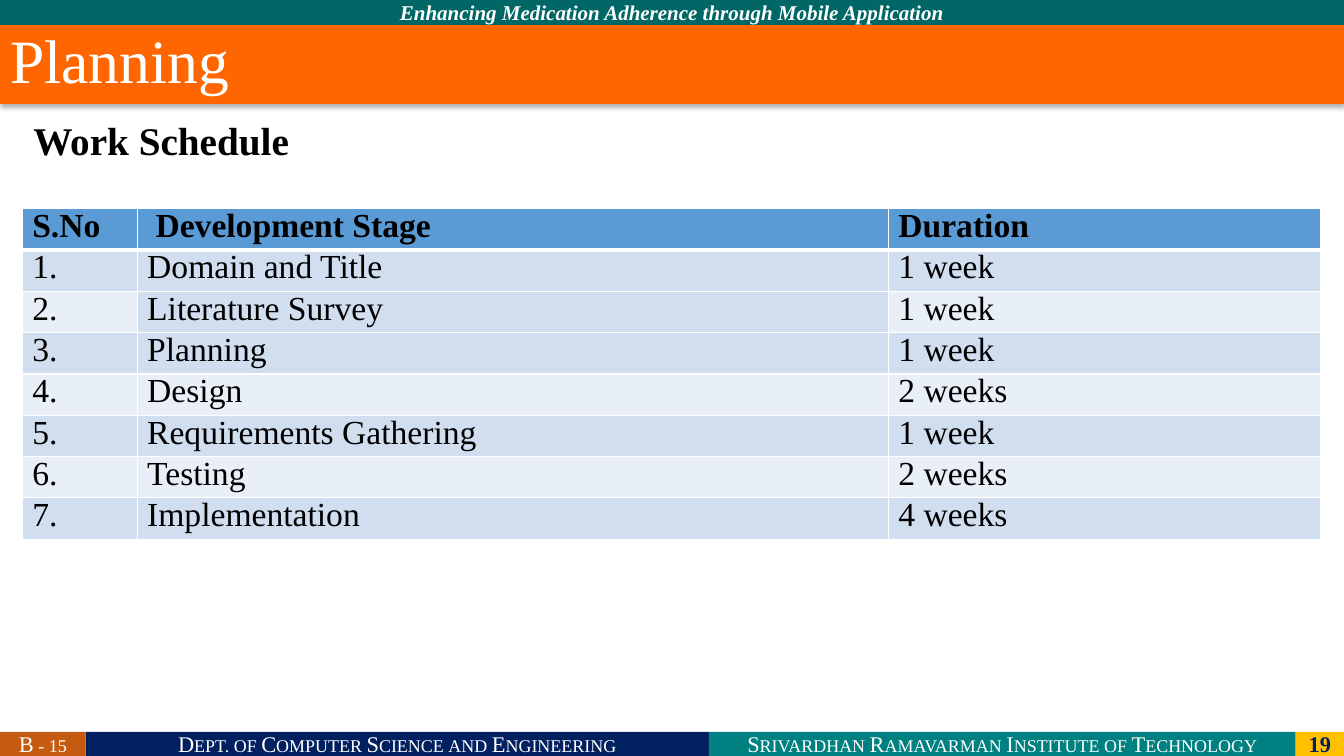
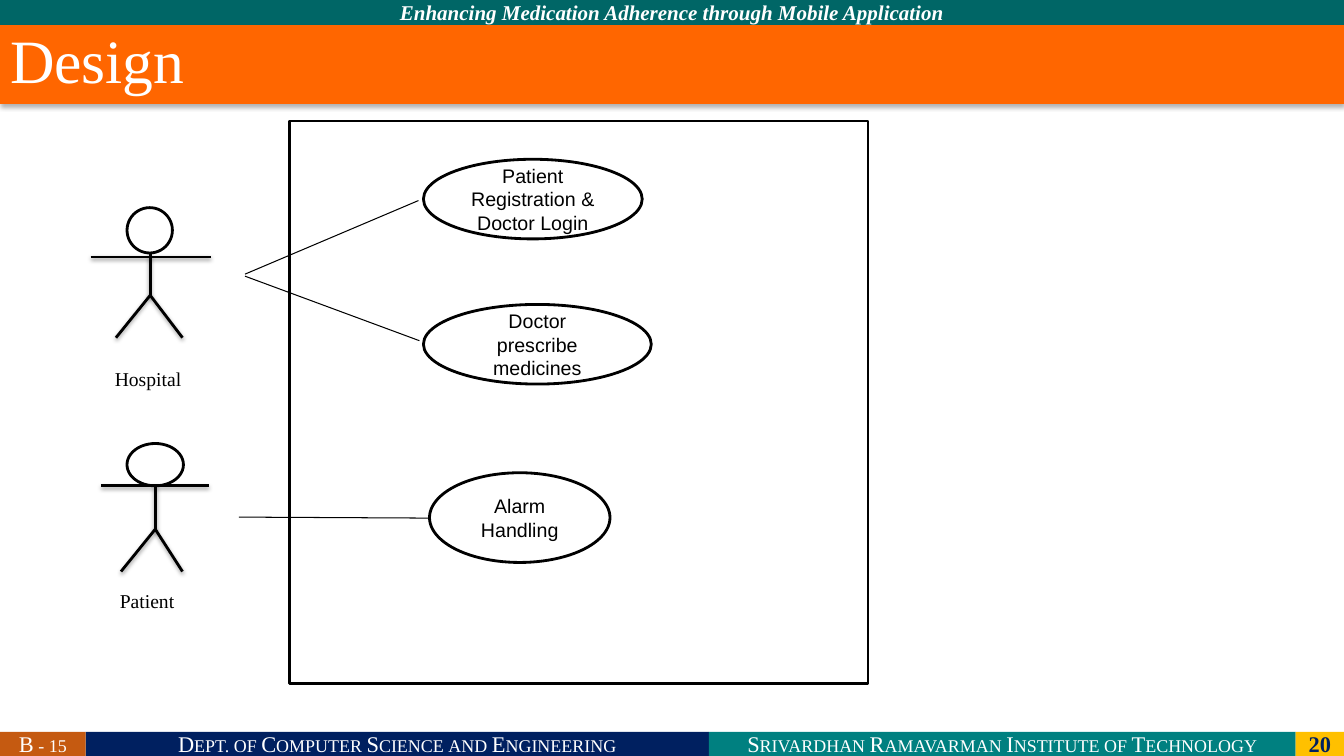
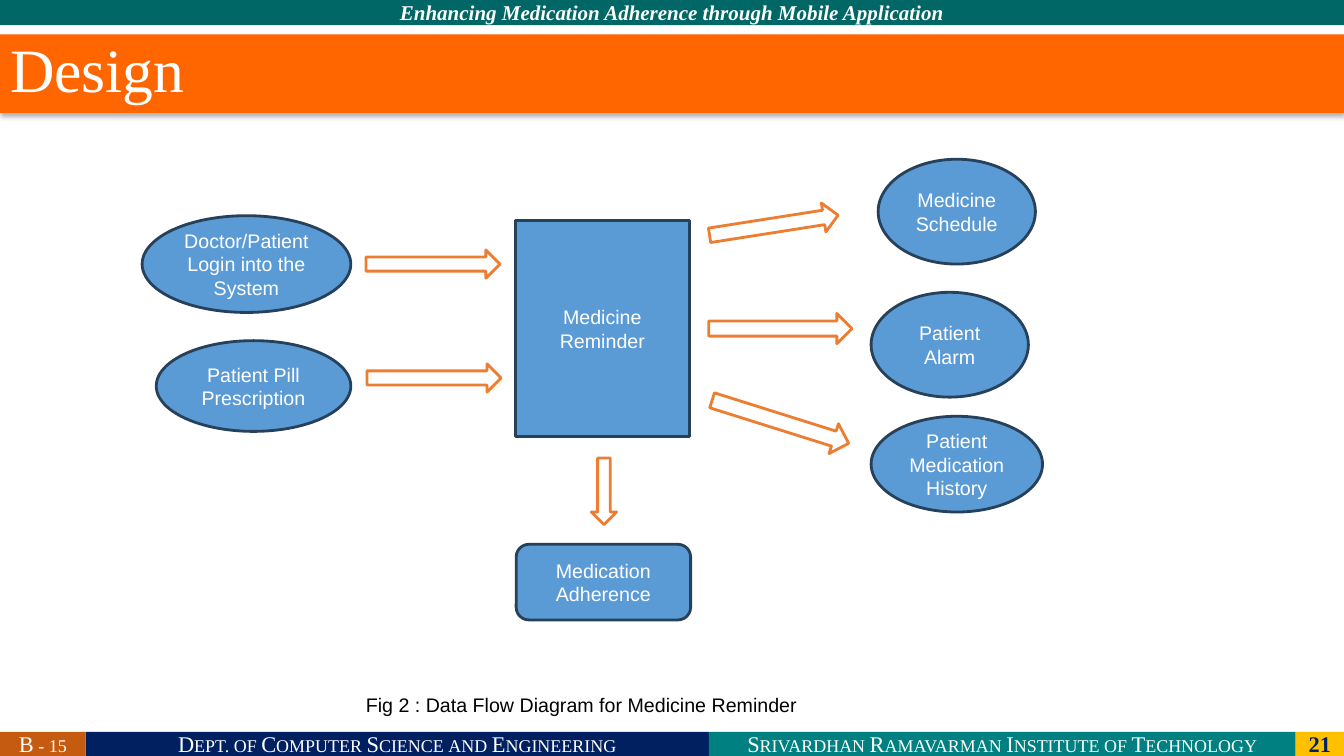
from lxml.etree import SubElement
from pptx import Presentation
from pptx.dml.color import RGBColor
from pptx.enum.shapes import MSO_CONNECTOR, MSO_SHAPE
from pptx.enum.text import MSO_ANCHOR, MSO_AUTO_SIZE, PP_ALIGN
from pptx.oxml.ns import qn
from pptx.util import Inches, Pt

SERIF, SANS = "Times New Roman", "Arial"
WHITE, BLACK, NAVY = "FFFFFF", "000000", "002060"
ORANGE, BLUE, BLUE_EDGE, ARROW = "FF6600", "5B9BD5", "264159", "ED7D31"
BAND_ROWS = ["E9EFF7", "D0DEEF"]
PROJECT = "Enhancing Medication Adherence through Mobile Application"
FOOT_TOP, FOOT_H = 7.26, 0.24
FIRST_NUMBER = 19

BANDS = [
    ((0.85, FOOT_TOP, 6.18, FOOT_H), NAVY, "Dept. of Computer Science and Engineering"),
    ((7.03, FOOT_TOP, 5.82, FOOT_H), "008080", "Srivardhan Ramavarman Institute of Technology"),
    ((0, FOOT_TOP, 0.85, FOOT_H), "C55A11", "B - 15"),
]

SCHEDULE = [
    ("S.No", " Development Stage", "Duration"),
    ("1.", "Domain and Title", "1 week"),
    ("2.", "Literature Survey", "1 week"),
    ("3.", "Planning", "1 week"),
    ("4.", "Design", "2 weeks"),
    ("5.", "Requirements Gathering", "1 week"),
    ("6.", "Testing", "2 weeks"),
    ("7.", "Implementation", "4 weeks"),
]


def color(value):
    return RGBColor.from_string(value)


def inches(*values):
    return [Inches(v) for v in values]


def paint(fill, value):
    fill.solid()
    fill.fore_color.rgb = color(value)


def add_run(p, text, size, font=SANS, ink=BLACK, bold=False, italic=False, small_caps=False):
    r = p.add_run()
    r.text = text
    r.font.size = Pt(size)
    r.font.name = font
    r.font.color.rgb = color(ink)
    r.font.bold = bold
    r.font.italic = italic
    if small_caps:
        r.font._element.set("cap", "small")


def set_effects(shape, alpha=0, blur=0, dist=0):
    effects = SubElement(shape.element.spPr, qn("a:effectLst"))
    if alpha:
        shadow = SubElement(effects, qn("a:outerShdw"), blurRad=str(Pt(blur)),
                            dist=str(Pt(dist)), dir="5400000", algn="t", rotWithShape="0")
        ink = SubElement(shadow, qn("a:srgbClr"), val=BLACK)
        SubElement(ink, qn("a:alpha"), val=str(alpha * 1000))


def add_box(s, kind, at, fill, edge=None, rotation=0):
    sp = s.shapes.add_shape(kind, *inches(*at))
    sp.shadow.inherit = False
    sp.rotation = rotation
    paint(sp.fill, fill)
    if edge:
        sp.line.color.rgb = color(edge)
        sp.line.width = Pt(2)
    else:
        sp.line.fill.background()
    return sp


def write_centered(sp, text, size=14, **style):
    tf = sp.text_frame
    tf.word_wrap = True
    tf.vertical_anchor = MSO_ANCHOR.MIDDLE
    p = tf.paragraphs[0]
    p.alignment = PP_ALIGN.CENTER
    add_run(p, text, size, **style)


def add_node(s, kind, at, text, fill=BLUE, edge=BLUE_EDGE, ink=WHITE):
    write_centered(add_box(s, kind, at, fill, edge), text, ink=ink)


def add_band(s, at, fill, text, size=16, ink=WHITE, **style):
    sp = add_box(s, MSO_SHAPE.RECTANGLE, at, fill)
    write_centered(sp, text, size, font=SERIF, ink=ink, **style)
    return sp


def add_label(s, at, text, font):
    tf = s.shapes.add_textbox(*inches(*at)).text_frame
    tf.word_wrap = True
    add_run(tf.paragraphs[0], text, 14, font)


def add_line(s, start, end, width=0.75, shadow=()):
    line = s.shapes.add_connector(MSO_CONNECTOR.STRAIGHT, *inches(*start, *end))
    line.line.color.rgb = color(BLACK)
    line.line.width = Pt(width)
    set_effects(line, *shadow)


def move_to_master(prs, shapes):
    tree = prs.slide_master.shapes.element
    for number, sp in enumerate(shapes, 101):
        sp.element.nvSpPr.cNvPr.id = number
        tree.insert_element_before(sp.element, "p:extLst")


def place(sp, at):
    sp.left, sp.top, sp.width, sp.height = inches(*at)
    tf = sp.text_frame
    tf.auto_size = MSO_AUTO_SIZE.NONE
    tf.vertical_anchor = MSO_ANCHOR.TOP
    p = tf.paragraphs[0]
    p.alignment = PP_ALIGN.JUSTIFY
    p.line_spacing = 0.9
    return p


def add_slide(prs, layout, title, title_top=0.25):
    s = prs.slides.add_slide(prs.slide_layouts.get_by_name(layout))
    sp = s.shapes.title
    p = place(sp, (0, title_top, 13.33, 0.78))
    paint(sp.fill, ORANGE)
    set_effects(sp, 31, 3.5, 2.2)
    add_run(p, title, 44, SERIF, WHITE)
    number = FIRST_NUMBER + len(prs.slides) - 1
    add_band(s, (12.85, FOOT_TOP, 0.48, FOOT_H), "FFC000", str(number), ink=NAVY, bold=True)
    return s


def add_master_bands(prs, s):
    bands = [add_band(s, *band, small_caps=True) for band in BANDS]
    bands.append(add_band(s, (0, 0, 13.33, 0.25), "006666", PROJECT, 15, bold=True, italic=True))
    move_to_master(prs, bands)


def add_cell_borders(cell, top, bottom):
    tc_pr = cell._tc.get_or_add_tcPr()
    for side, width in (("L", 1), ("R", 1), ("T", top), ("B", bottom)):
        ln = SubElement(tc_pr, qn("a:ln" + side), w=str(Pt(width)))
        SubElement(SubElement(ln, qn("a:solidFill")), qn("a:srgbClr"), val=WHITE)


def add_schedule(s, left, top, widths, row_height):
    table = s.shapes.add_table(len(SCHEDULE), len(widths), *inches(
        left, top, sum(widths), row_height * len(SCHEDULE))).table
    for column, width in zip(table.columns, widths):
        column.width = Inches(width)
    for i, row in enumerate(SCHEDULE):
        table.rows[i].height = Inches(row_height)
        for j, text in enumerate(row):
            cell = table.cell(i, j)
            add_cell_borders(cell, 3 if i == 1 else 1, 3 if i == 0 else 1)
            paint(cell.fill, BLUE if i == 0 else BAND_ROWS[i % 2])
            p = cell.text_frame.paragraphs[0]
            p.alignment = PP_ALIGN.JUSTIFY
            p.line_spacing = 0.8
            add_run(p, text, 24, SERIF, bold=i == 0)
    paint(table.cell(2, 1).fill, BAND_ROWS[1])


def add_actor(s, head, neck, hip, arms, arms_y, feet, feet_y):
    add_box(s, MSO_SHAPE.FLOWCHART_CONNECTOR, head, WHITE, BLACK)
    limbs = [(neck, hip), ((arms[0], arms_y), (arms[1], arms_y))]
    limbs += [(hip, (x, feet_y)) for x in feet]
    for start, end in limbs:
        add_line(s, start, end, 2, (38, 3.1, 1.6))


def build_planning(prs):
    s = add_slide(prs, "Title and Content", "Planning")
    add_master_bands(prs, s)
    p = place(s.placeholders[1], (0.23, 1.16, 12.88, 5.73))
    p.space_before = Pt(10)
    p_pr = p._p.get_or_add_pPr()
    p_pr.set("marL", "0")
    p_pr.set("indent", "0")
    SubElement(p_pr, qn("a:buNone"))
    add_run(p, "Work Schedule", 28, SERIF, bold=True)
    add_schedule(s, 0.22, 2.07, (1.14, 7.45, 4.29), 0.41)


def build_use_cases(prs):
    s = add_slide(prs, "Title Only", "Design")
    add_actor(s, (1.26, 2.06, 0.45, 0.45), (1.49, 2.52), (1.49, 2.93),
              (0.9, 2.09), 2.55, (1.15, 1.81), 3.35)
    add_actor(s, (1.26, 4.4, 0.56, 0.42), (1.54, 4.82), (1.54, 5.25),
              (1, 2.07), 4.82, (1.2, 1.81), 5.67)
    add_label(s, (1.04, 3.59, 1.1, 0.32), "Hospital", SERIF)
    add_label(s, (1.09, 5.79, 1.1, 0.32), "Patient", SERIF)
    add_box(s, MSO_SHAPE.RECTANGLE, (2.87, 1.2, 5.74, 5.58), WHITE, BLACK)
    for start, end in [((2.43, 2.72), (4.15, 1.99)), ((2.43, 2.74), (4.16, 3.38)),
                       ((2.37, 5.13), (4.26, 5.14))]:
        add_line(s, start, end)
    for at, text in [((4.2, 1.58, 2.17, 0.79), "Patient Registration & Doctor Login"),
                     ((4.2, 3.02, 2.26, 0.79), "Doctor prescribe medicines"),
                     ((4.26, 4.69, 1.79, 0.89), "Alarm Handling")]:
        add_node(s, MSO_SHAPE.OVAL, at, text, WHITE, BLACK, BLACK)


def build_data_flow(prs):
    s = add_slide(prs, "Title Only", "Design", 0.34)
    add_node(s, MSO_SHAPE.RECTANGLE, (5.11, 2.19, 1.73, 2.14), "Medicine Reminder")
    add_node(s, MSO_SHAPE.ROUNDED_RECTANGLE, (5.12, 5.4, 1.73, 0.75), "Medication Adherence")
    for at, text in [((1.41, 2.14, 2.07, 0.96), "Doctor/Patient Login into the System"),
                     ((1.55, 3.38, 1.93, 0.9), "Patient Pill Prescription"),
                     ((8.71, 1.58, 1.56, 1.04), "Medicine Schedule"),
                     ((8.64, 2.9, 1.56, 1.04), "Patient Alarm"),
                     ((8.64, 4.13, 1.7, 0.95), "Patient Medication History")]:
        add_node(s, MSO_SHAPE.OVAL, at, text)
    for at, rotation in [((3.63, 2.48, 1.33, 0.28), 0), ((3.64, 3.61, 1.33, 0.28), 0),
                         ((7.03, 2.09, 1.29, 0.29), 351.1), ((7.03, 3.11, 1.42, 0.3), 0),
                         ((7.03, 4.03, 1.42, 0.31), 17.5), ((5.66, 4.75, 0.66, 0.25), 90)]:
        add_box(s, MSO_SHAPE.RIGHT_ARROW, at, WHITE, ARROW, rotation)
    add_label(s, (3.53, 6.83, 4.92, 0.34), "Fig 2 : Data Flow Diagram for Medicine Reminder", SANS)


def main():
    prs = Presentation()
    prs.slide_width, prs.slide_height = inches(13.33, 7.5)
    build_planning(prs)
    build_use_cases(prs)
    build_data_flow(prs)
    prs.save("out.pptx")


if __name__ == "__main__":
    main()
